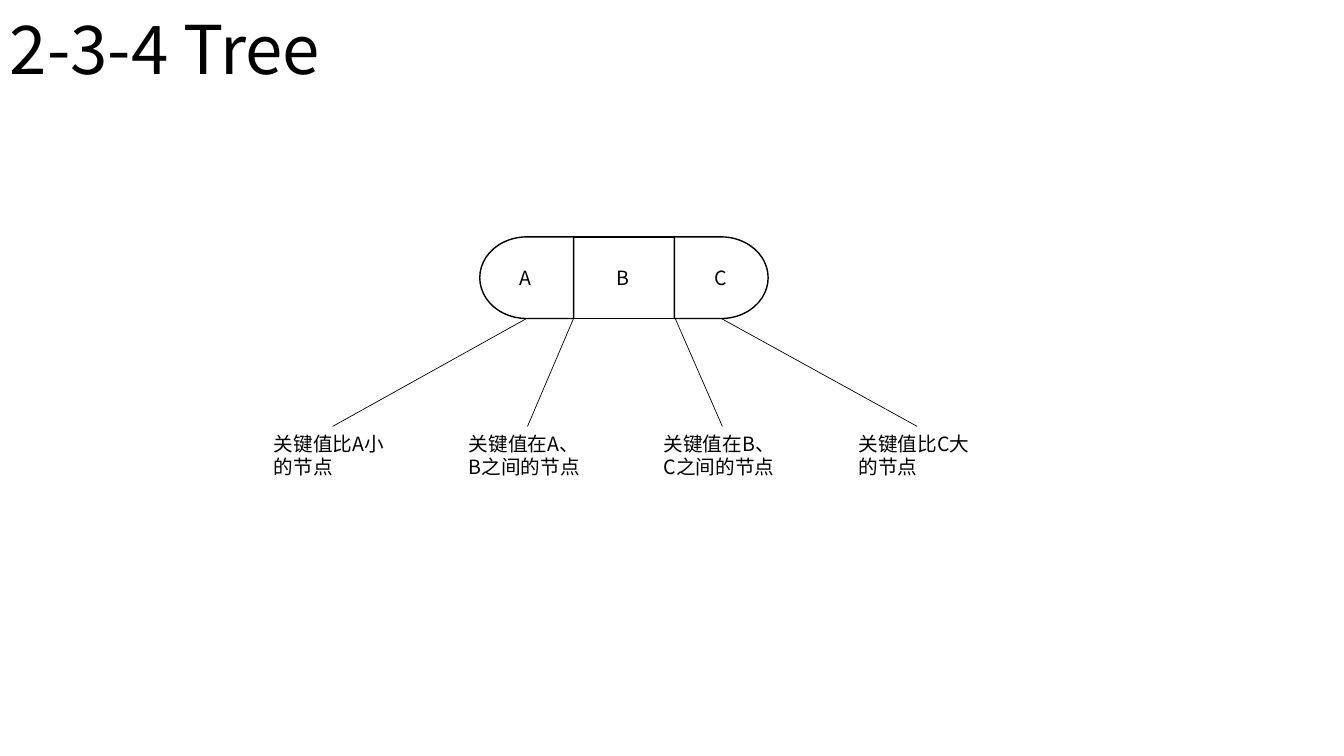
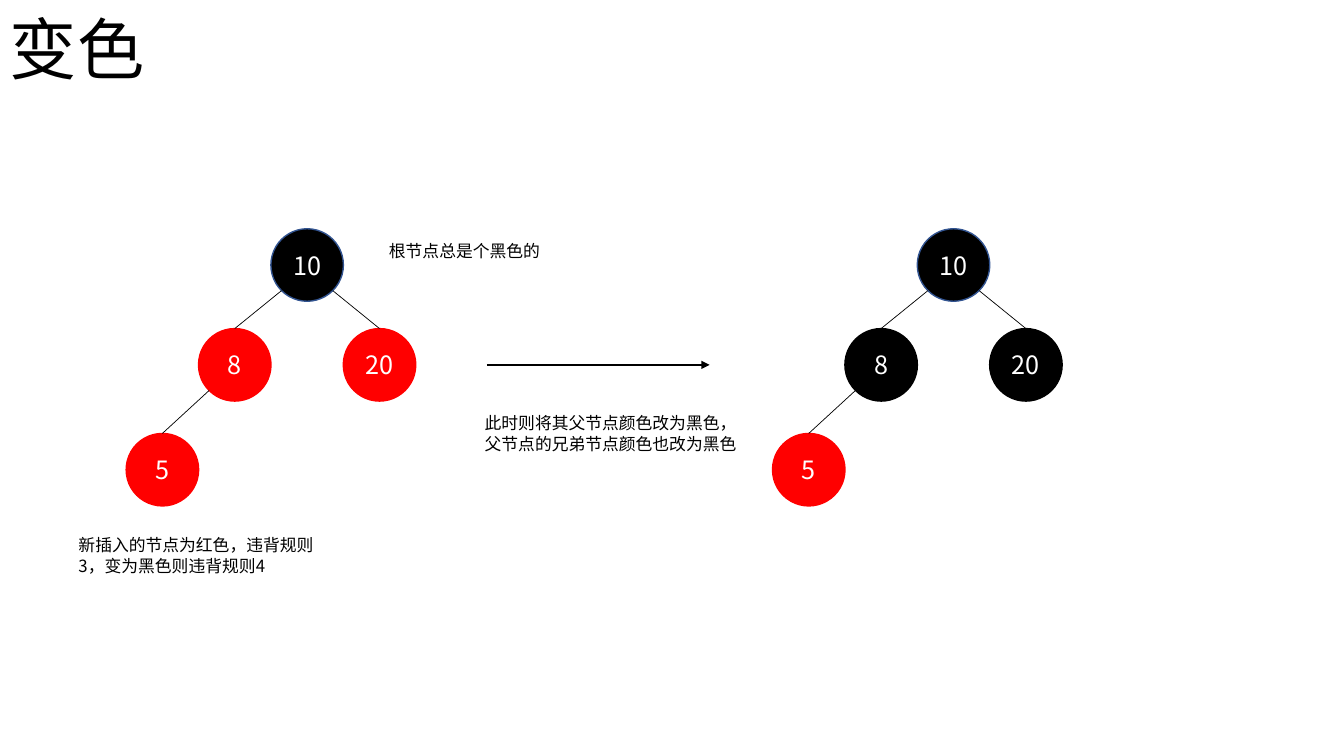
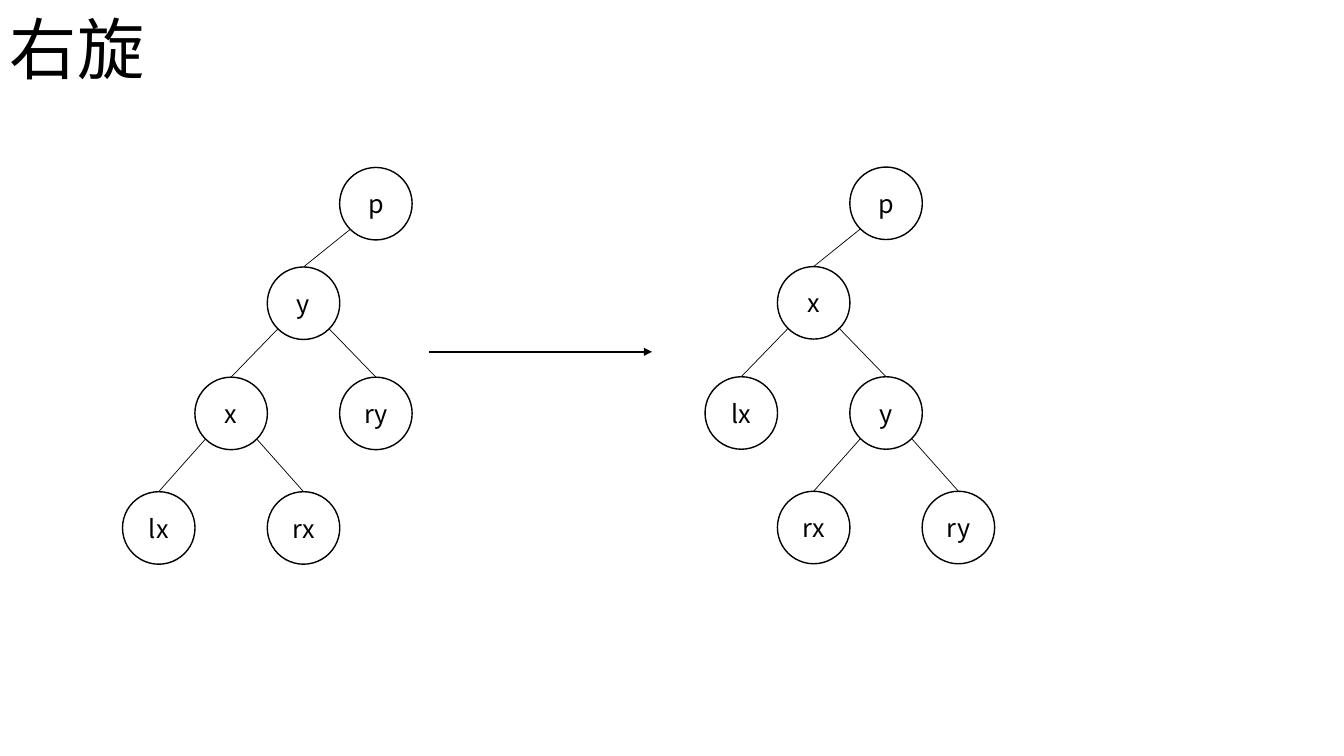
from math import sqrt

from lxml.etree import SubElement
from pptx import Presentation
from pptx.dml.color import RGBColor
from pptx.enum.shapes import MSO_CONNECTOR, MSO_SHAPE
from pptx.enum.text import MSO_ANCHOR, MSO_AUTO_SIZE, PP_ALIGN
from pptx.oxml.ns import qn
from pptx.util import Pt

# Shared style
BLACK = RGBColor(0x00, 0x00, 0x00)
WHITE = RGBColor(0xFF, 0xFF, 0xFF)
RED = RGBColor(0xFF, 0x00, 0x00)
ROOT_BLUE = RGBColor(0x32, 0x54, 0x91)
FONT = "Noto Sans CJK SC"

# Tree geometry
NODE = 51.8
COLUMN_STEP = 51.7
DIAGONAL = NODE / 2 / sqrt(2)
ARROW_LENGTH = 159.1


def style_paragraph(paragraph, size, color):
    paragraph.font.size = Pt(size)
    paragraph.font.color.rgb = color
    paragraph.font.name = FONT
    properties = paragraph._p.pPr.find(qn("a:defRPr"))
    SubElement(properties, qn("a:ea"), typeface=FONT)


def add_label(slide, text, left, top, width, height, size):
    box = slide.shapes.add_textbox(Pt(left), Pt(top), Pt(width), Pt(height))
    frame = box.text_frame
    frame.word_wrap = True
    frame.auto_size = MSO_AUTO_SIZE.SHAPE_TO_FIT_TEXT
    frame.text = text
    style_paragraph(frame.paragraphs[0], size, BLACK)


def add_outline(shapes, kind, left, top, width, height, line=BLACK, fill=None):
    shape = shapes.add_shape(kind, Pt(left), Pt(top), Pt(width), Pt(height))
    shape.shadow.inherit = False
    if fill is None:
        shape.fill.background()
    else:
        shape.fill.solid()
        shape.fill.fore_color.rgb = fill
    shape.line.color.rgb = line
    shape.line.width = Pt(1)
    return shape


def add_line(shapes, x1, y1, x2, y2, width=0.5):
    line = shapes.add_connector(
        MSO_CONNECTOR.STRAIGHT, Pt(x1), Pt(y1), Pt(x2), Pt(y2))
    line.line.color.rgb = BLACK
    line.line.width = Pt(width)
    SubElement(line._element.spPr, qn("a:effectLst"))
    return line


def add_step_arrow(slide, left, y):
    arrow = add_line(slide.shapes, left, y, left + ARROW_LENGTH, y, width=1.5)
    stroke = arrow._element.spPr.find(qn("a:ln"))
    SubElement(stroke, qn("a:tailEnd"), type="triangle")


def add_node(shapes, text, left, top, fill, line):
    node = add_outline(shapes, MSO_SHAPE.FLOWCHART_CONNECTOR,
                       left, top, NODE, NODE, line, fill)
    frame = node.text_frame
    frame.vertical_anchor = MSO_ANCHOR.MIDDLE
    frame.text = text
    paragraph = frame.paragraphs[0]
    paragraph.alignment = PP_ALIGN.CENTER
    style_paragraph(paragraph, 18, BLACK if fill is None else WHITE)


def add_tree(shapes, left, top, levels, nodes):
    """Nodes are (text, column, level, parent, fill, line), relative to the root."""
    places = {}
    for text, column, level, _, fill, line in nodes:
        places[text] = (left + column * COLUMN_STEP, top + levels[level])
        add_node(shapes, text, *places[text], fill, line)
    # Branches run from the parent's lower corner to the child's top
    for text, _, _, parent, _, _ in nodes:
        if parent:
            (child_x, child_y), (parent_x, parent_y) = places[text], places[parent]
            side = DIAGONAL if child_x > parent_x else -DIAGONAL
            add_line(shapes, parent_x + NODE / 2 + side,
                     parent_y + NODE / 2 + DIAGONAL,
                     child_x + NODE / 2, child_y)


def add_titled_slide(deck, title):
    slide = deck.slides.add_slide(deck.slide_layouts[6])
    add_label(slide, title, 0, 1.4, 960, 65.5, 48)
    return slide


def build_234_tree(deck):
    slide = add_titled_slide(deck, "2-3-4 Tree")
    left, top, height, cap, middle = 342.7, 169.2, 58.3, 67, 72
    first_split, second_split = left + cap, left + cap + middle
    bottom = top + height

    # Node with three keys
    add_outline(slide.shapes, MSO_SHAPE.FLOWCHART_DELAY,
                second_split, top, cap, height)
    left_cap = add_outline(slide.shapes, MSO_SHAPE.FLOWCHART_DELAY,
                           left, top, cap, height)
    left_cap.rotation = 180
    add_outline(slide.shapes, MSO_SHAPE.RECTANGLE,
                first_split, top, middle, height)
    centers = (left + cap / 2, first_split + middle / 2, second_split + cap / 2)
    for key, center in zip("ABC", centers):
        add_label(slide, key, center - 12.25, 186.6, 24.5, 24.2, 14)

    # Children and their key ranges
    starts = (centers[0], first_split, second_split + 0.6, centers[2])
    ranges = ("关键值比A小的节点", "关键值在A、B之间的节点",
              "关键值在B、C之间的节点", "关键值比C大的节点")
    for index, (start, key_range) in enumerate(zip(starts, ranges)):
        range_left = 188.6 + index * 139.2
        add_line(slide.shapes, start, bottom, range_left + 49, 304.6)
        add_label(slide, key_range, range_left, 304.6, 97.9, 41.2, 14)


def build_recoloring(deck):
    slide = add_titled_slide(deck, "变色")
    levels = (0, 71.3, 146.2)

    # Trees before and after the change
    for left, sibling_color in ((193.5, RED), (655.2, BLACK)):
        add_tree(slide.shapes, left, 163.4, levels, [
            ("10", 0, 0, None, BLACK, ROOT_BLUE),
            ("8", -1, 1, "10", sibling_color, sibling_color),
            ("20", 1, 1, "10", sibling_color, sibling_color),
            ("5", -2, 2, "8", RED, RED),
        ])
    add_step_arrow(slide, 347.8, 260.6)

    # Explanations
    add_label(slide, "新插入的节点为红色，违背规则3，变为黑色则违背规则4",
              49, 378.7, 185, 36, 12)
    add_label(slide, "此时则将其父节点颜色改为黑色，父节点的兄弟节点颜色也改为黑色",
              339.1, 291.6, 202.3, 36, 12)
    add_label(slide, "根节点总是个黑色的", 270.7, 168.5, 144.7, 21.6, 12)


def build_right_rotation(deck):
    slide = add_titled_slide(deck, "右旋")
    levels = (0, 71.1, 149.8, 231.6)
    before = [("p", 0, 0, None), ("y", -1, 1, "p"), ("x", -2, 2, "y"),
              ("ry", 0, 2, "y"), ("lx", -3, 3, "x"), ("rx", -1, 3, "x")]
    after = [("p", 0, 0, None), ("x", -1, 1, "p"), ("lx", -2, 2, "x"),
             ("y", 0, 2, "x"), ("rx", -1, 3, "y"), ("ry", 1, 3, "y")]
    for left, top, nodes in ((242.6, 119.6, before), (607, 119.3, after)):
        tree = slide.shapes.add_group_shape()
        add_tree(tree.shapes, left, top, levels,
                 [(*node, None, BLACK) for node in nodes])
    add_step_arrow(slide, 306.7, 251.3)


def main():
    deck = Presentation()
    deck.slide_width, deck.slide_height = Pt(960), Pt(540)
    build_234_tree(deck)
    build_recoloring(deck)
    build_right_rotation(deck)
    deck.save("out.pptx")


main()
